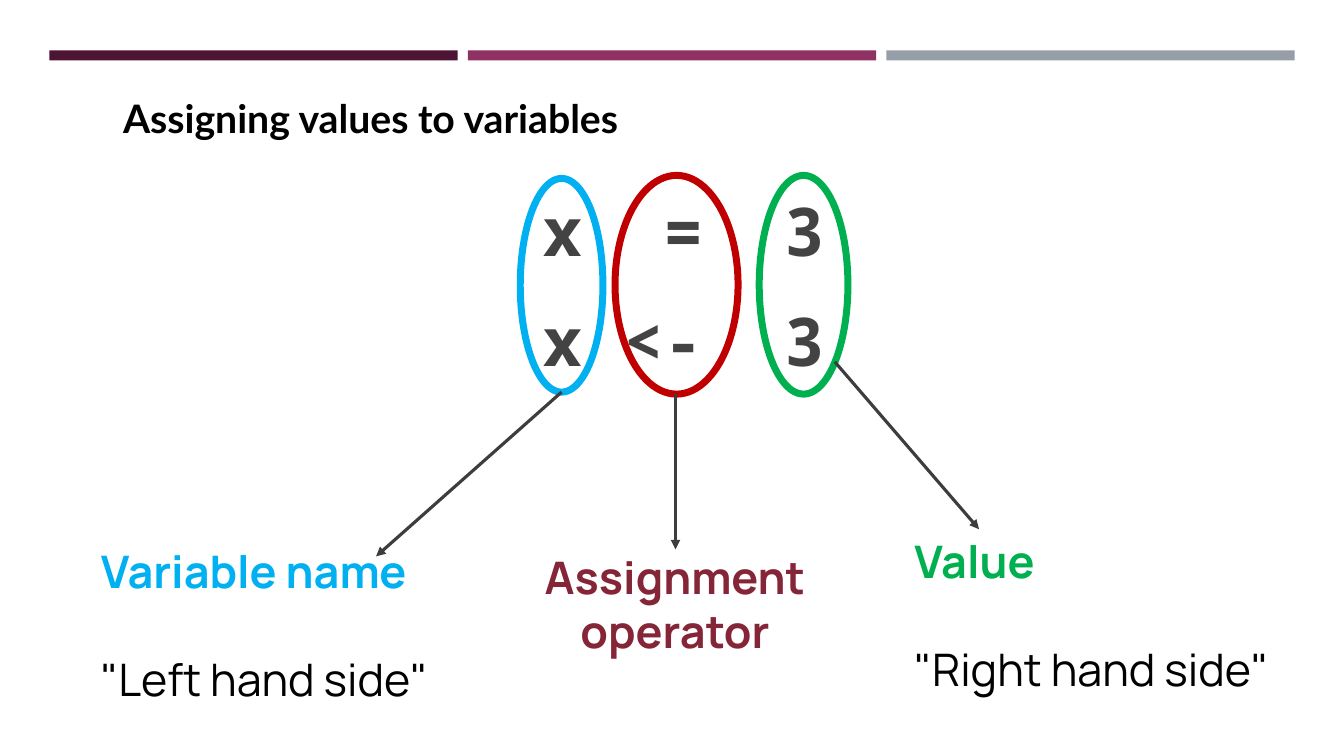
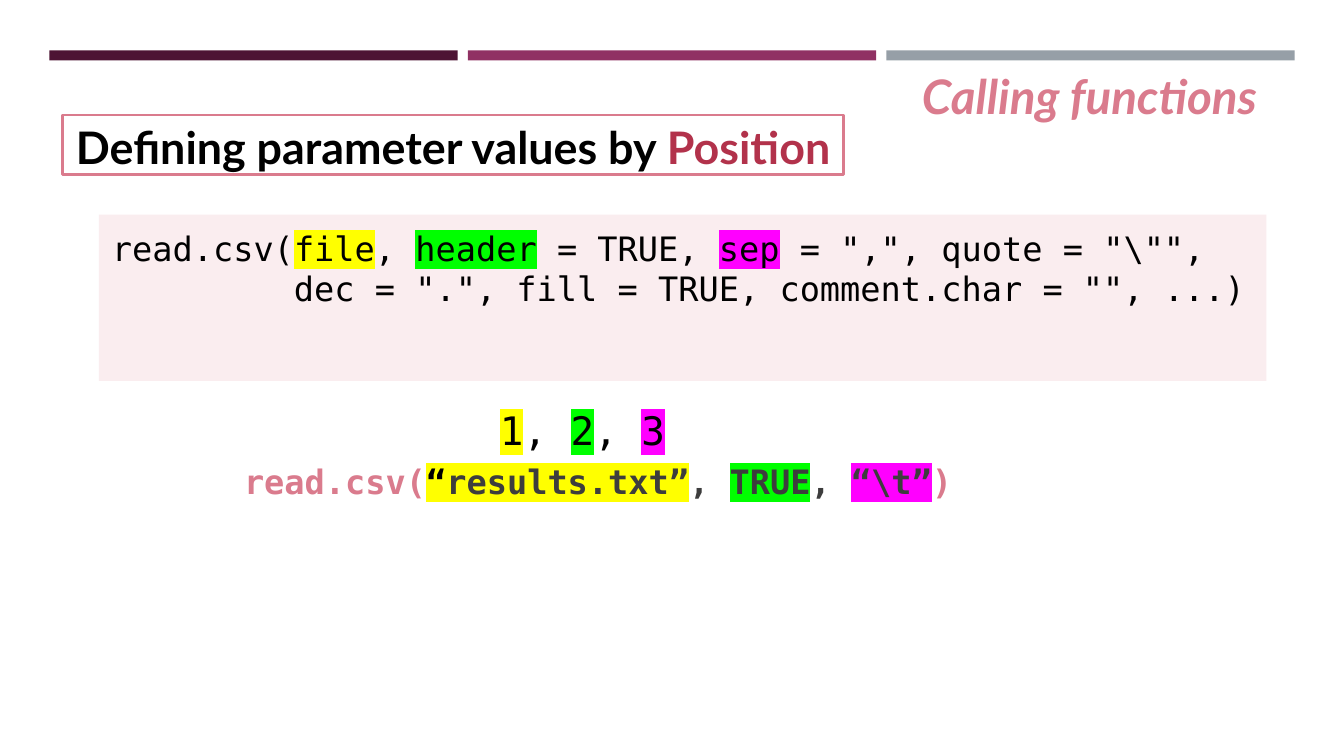
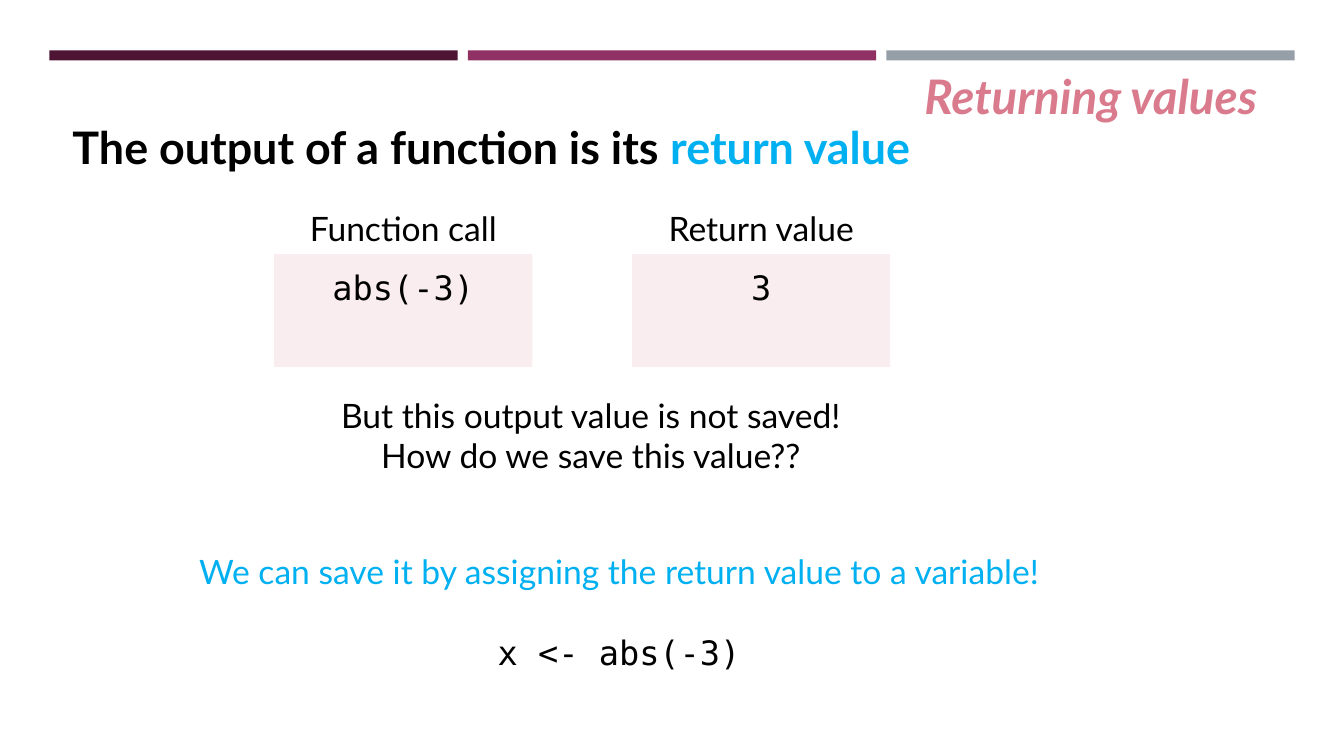
from lxml import etree
from pptx import Presentation
from pptx.dml.color import RGBColor
from pptx.enum import shapes, text
from pptx.oxml import ns
from pptx.util import Inches, Pt

COLORS = dict(
    plum="4D1434", berry="903163", steel="969FA7", black="000000", ink="3D3D3D",
    gray="434343", rose="DA7B8D", crimson="B2324B", wine="852638", blush="E6A7B3",
    blue="00B0F0", red="C00000", green="00B050",
    yellow="FFFF00", lime="00FF00", magenta="FF00FF")
SANS, LABEL, MONO, CODE = "Lato", "Manrope", "Noto Sans Mono", "DejaVu Sans Mono"
LEFT, CENTER, RIGHT = (text.PP_ALIGN.LEFT, text.PP_ALIGN.CENTER, text.PP_ALIGN.RIGHT)

# Content: a paragraph is a string or a list of (text, format) runs
BANDS = ["plum", "berry", "steel"]
EXPRESSION = ["x  =  3", "x <-  3"]  # code in fixed character columns
# ellipse, line colour, arrow ends, label box, label colour, alignment, label, note
PARTS = [
    ((5.16, 1.77, 0.82, 2.12), "blue", (5.57, 3.89, 3.73, 5.52),
     (0.87, 5.26, 3.89, 1.73), "blue", LEFT, ["Variable name"], '"Left hand side"'),
    ((6.1, 1.74, 1.22, 2.17), "red", (6.7, 3.91, 6.7, 5.45),
     (5.24, 5.32, 2.91, 1.73), "wine", CENTER, ["Assignment", "operator"], None),
    ((7.53, 1.74, 0.88, 2.17), "green", (8.28, 3.59, 9.71, 5.25),
     (8.94, 5.16, 3.89, 1.73), "green", LEFT, ["Value"], '"Right hand side"'),
]
YELLOW, LIME, MAGENTA = ({"mark": c} for c in ("yellow", "lime", "magenta"))
ROSE = {"color": "rose"}
SIGNATURE = [
    [("read.csv(", {}), ("file", YELLOW), (", ", {}), ("header", LIME),
     (" = TRUE, ", {}), ("sep", MAGENTA), (' = ",", quote = "\\"",', {})],
    '         dec = ".", fill = TRUE, comment.char = "", ...)',
]
POSITIONS = [[("1", YELLOW), (", ", {}), ("2", LIME), (", ", {}), ("3", MAGENTA)]]
CALL = [[("read.csv(", ROSE), ("“", {"color": "black", **YELLOW}),
         ("results.txt”", YELLOW), (", ", {}), ("TRUE", LIME), (", ", {}),
         ("“\\t”", MAGENTA), (")", ROSE)]]
EXAMPLES = [("Function call", "abs(-3)"), ("Return value", "3")]
QUESTION = ["But this output value is not saved!", "How do we save this value??"]


def rgb(name):
    return RGBColor.from_string(COLORS[name])


def add_xml(parent, tag, **attrs):
    return etree.SubElement(parent, ns.qn(tag), **attrs)


def write(sp, paras, font=SANS, size=24, color="black", bold=False, italic=False,
          mark=None, align=LEFT, inset=0.1, spacing=None, gap=0):
    """Fill a shape with paragraphs; run formats override the keywords."""
    tf = sp.text_frame
    tf.word_wrap, tf.auto_size = True, text.MSO_AUTO_SIZE.NONE
    tf.vertical_anchor = text.MSO_ANCHOR.TOP
    tf.margin_left = tf.margin_right = Inches(inset)
    tf.margin_top = tf.margin_bottom = Inches(0.05 if inset == 0.1 else inset)
    base = dict(font=font, size=size, color=color, bold=bold, italic=italic, mark=mark)
    for i, para in enumerate(paras):
        p = tf.paragraphs[0] if i == 0 else tf.add_paragraph()
        p.alignment, p.space_before = align, Pt(gap if i else 0)
        if spacing:
            p.line_spacing = spacing
        for words, change in [(para, {})] if isinstance(para, str) else para:
            fmt = {**base, **change}
            r = p.add_run()
            r.text = words
            f = r.font
            f.name, f.size = fmt["font"], Pt(fmt["size"])
            f.bold, f.italic = fmt["bold"], fmt["italic"]
            f.color.rgb = rgb(fmt["color"])
            if fmt["mark"]:
                mark_el = etree.Element(ns.qn("a:highlight"))
                add_xml(mark_el, "a:srgbClr", val=COLORS[fmt["mark"]])
                r._r.rPr.find(ns.qn("a:solidFill")).addnext(mark_el)


def place(sp, box):
    sp.left, sp.top, sp.width, sp.height = map(Inches, box)
    return sp


def add_text(s, box, paras, **fmt):
    write(s.shapes.add_textbox(*map(Inches, box)), paras, **fmt)


def add_shape(s, box, kind="RECTANGLE", fill=None, alpha=None, line=None, width=1):
    sp = s.shapes.add_shape(shapes.MSO_SHAPE[kind], *map(Inches, box))
    sp.shadow.inherit = False
    if fill:
        sp.fill.solid()
        sp.fill.fore_color.rgb = rgb(fill)
        if alpha:
            clr = sp._element.spPr.find(ns.qn("a:solidFill"))[0]
            add_xml(clr, "a:alpha", val=str(alpha * 1000))
    else:
        sp.fill.background()
    if line:
        sp.line.color.rgb, sp.line.width = rgb(line), Pt(width)
    else:
        sp.line.fill.background()
    return sp


def add_code(s, box, paras, **fmt):
    write(add_shape(s, box, fill="blush", alpha=20), paras, font=CODE, inset=0.13, **fmt)


def add_arrow(s, ends):
    c = s.shapes.add_connector(shapes.MSO_CONNECTOR.STRAIGHT, *map(Inches, ends))
    c.line.color.rgb, c.line.width = rgb("ink"), Pt(2.25)
    add_xml(c.line._get_or_add_ln(), "a:tailEnd", type="triangle")
    add_xml(c._element.spPr, "a:effectLst")


def add_bands(prs, s):
    """Draw the three top bands and move them to the slide master."""
    tree = prs.slide_master.element.cSld.spTree
    for i, color in enumerate(BANDS):
        sp = add_shape(s, (0.49 + i * 4.15, 0.5, 4.05, 0.1), fill=color)
        tree.append(sp._element)


def add_topic(s, topic):
    write(place(s.shapes.title, (8.76, 0.61, 3.81, 0.48)), [topic], size=34,
          color="rose", bold=True, italic=True, align=RIGHT)


def assigning_slide(s):
    write(place(s.shapes.title, (1.12, 0.89, 8.85, 0.48)),
          ["Assigning values to variables"], size=28, bold=True)
    write(place(s.placeholders[1], (0.68, 1.75, 12.2, 2.73)), EXPRESSION, font=MONO,
          size=48, color="gray", bold=True, align=CENTER, inset=0.13,
          spacing=Pt(57.3), gap=21.3)
    # Ringed parts with their labels
    for ring, line, arrow, box, color, align, label, note in PARTS:
        add_shape(s, ring, "OVAL", line=line, width=5)
        add_arrow(s, arrow)
        paras = label + ([[(note, dict(color="black", bold=False))]] if note else [])
        add_text(s, box, paras, font=LABEL, size=32, color=color, bold=True, align=align,
                 inset=0.13, spacing=Pt(38.6), gap=38.6 if note else 0)


def calling_slide(s):
    add_topic(s, "Calling functions")
    heading = add_shape(s, (0.62, 1.14, 7.75, 0.59), line="rose", width=2)
    write(heading, [[("Defining parameter values by ", {}),
                     ("Position", {"color": "crimson"})]],
          size=32, bold=True, align=CENTER)
    add_code(s, (0.98, 2.13, 11.58, 1.65), SIGNATURE)
    add_text(s, (2.29, 4.44, 8.25, 1.12), CALL, font=CODE, color="ink", bold=True,
             inset=0.13)
    add_text(s, (4.86, 3.98, 3.3, 0.57), POSITIONS, font=CODE, size=28)


def returning_slide(s):
    add_topic(s, "Returning values")
    add_text(s, (0.62, 1.14, 8.52, 0.59),
             [[("The output of a function is its ", {}),
               ("return value", {"color": "blue"})]], size=32, bold=True)
    # Call and result side by side
    for i, (caption, code) in enumerate(EXAMPLES):
        left = 2.72 + i * 3.55
        add_code(s, (left, 2.52, 2.56, 1.12), [code], align=CENTER)
        add_text(s, (left + 0.15, 2.01, 2.26, 0.5), [caption], align=CENTER)
    add_text(s, (2.15, 3.87, 7.42, 0.91), QUESTION, align=CENTER)
    add_text(s, (1.79, 5.42, 8.7, 1.31),
             ["We can save it by assigning the return value to a variable!",
              [("x <- abs(-3)", dict(font=CODE, color="black"))]],
             color="blue", align=CENTER, gap=29)


def main():
    prs = Presentation()
    prs.slide_width, prs.slide_height = Inches(13.33), Inches(7.5)
    title_and_subtitle, title_only = prs.slide_layouts[0], prs.slide_layouts[5]
    for layout, build in [(title_and_subtitle, assigning_slide),
                          (title_only, calling_slide), (title_only, returning_slide)]:
        build(prs.slides.add_slide(layout))
    add_bands(prs, prs.slides[0])
    prs.save("out.pptx")


if __name__ == "__main__":
    main()
